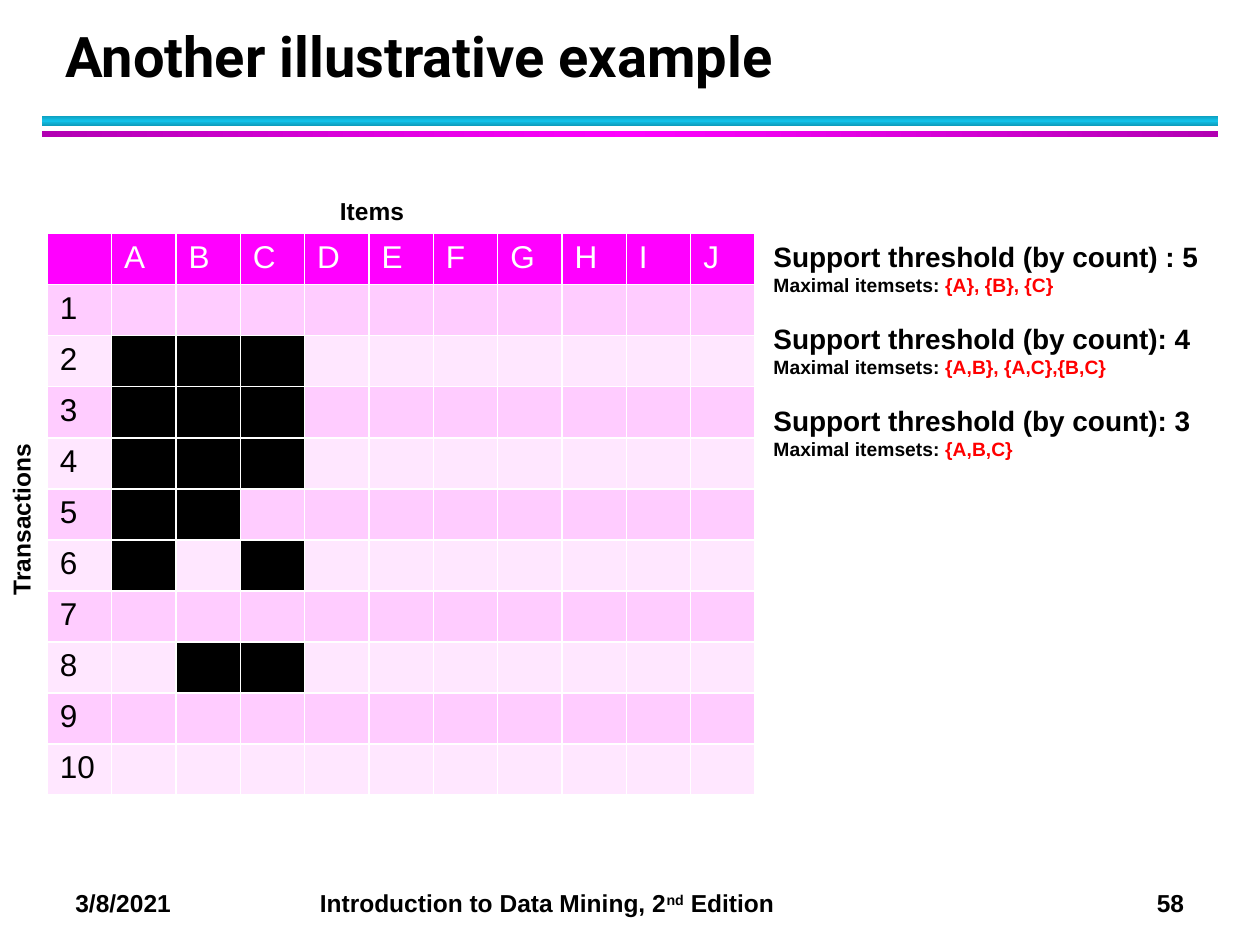
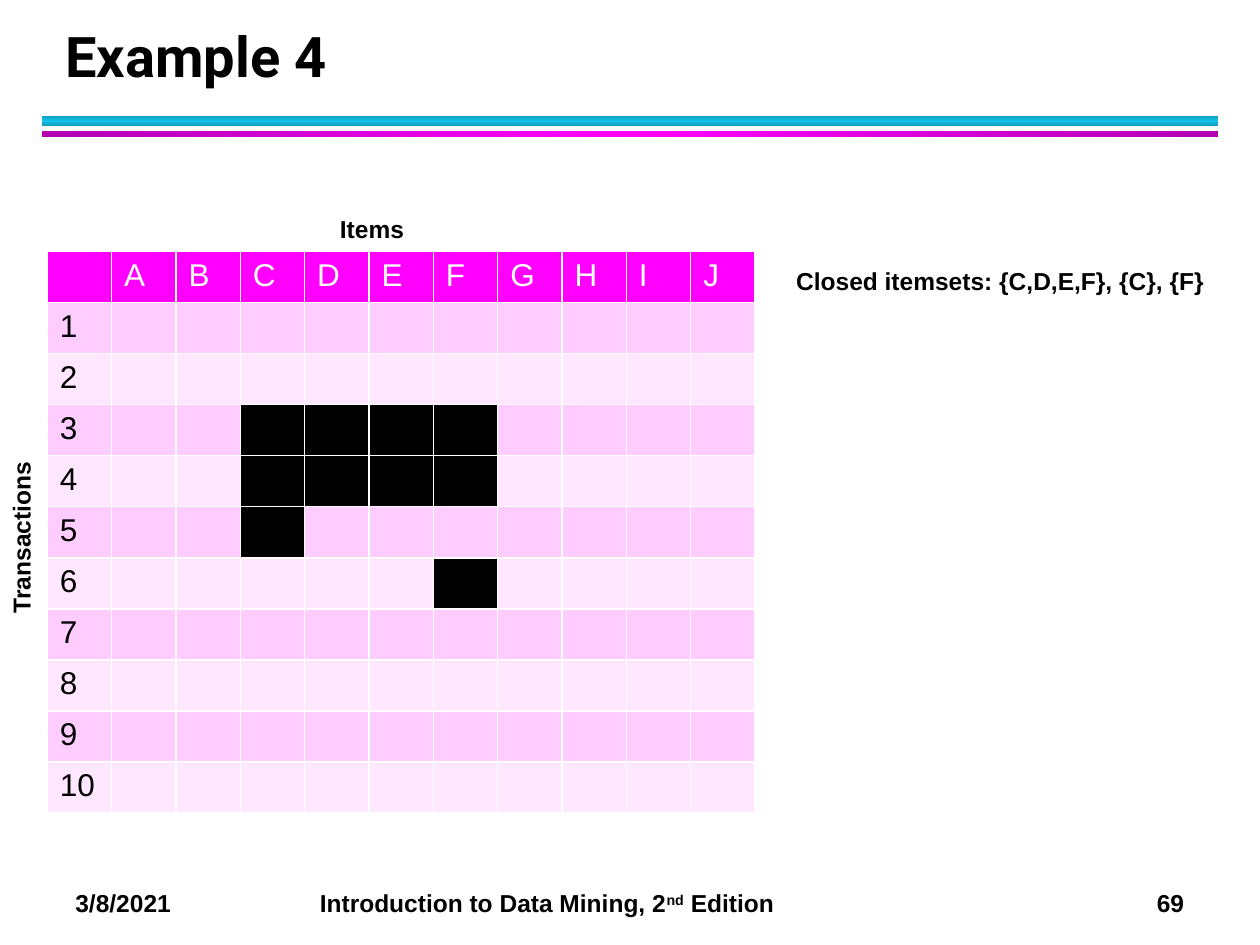
"""Build two itemset-mining example slides with shared bands, title, footer and transaction grid."""
from copy import deepcopy
from dataclasses import dataclass
from typing import NamedTuple

from lxml.etree import SubElement
from pptx import Presentation
from pptx.dml.color import RGBColor
from pptx.enum.shapes import MSO_SHAPE
from pptx.enum.text import MSO_ANCHOR, MSO_AUTO_SIZE
from pptx.oxml.ns import qn
from pptx.util import Inches, Pt

WIDTH, HEIGHT = Inches(10), Inches(7.5)
COLUMNS, ROWS = 100, 75
BLACK, WHITE, RED = "000000", "FFFFFF", "FF0000"
HEADER, ODD, EVEN = "FF00FF", "FFCCFF", "FFE7FF"
BODY_FONT, TITLE_FONT = "Arial", "Roboto"
ITEMS = "ABCDEFGHIJ"
TRANSACTIONS = 10


class Box(NamedTuple):
    """Left, top, width and height in grid columns and rows."""
    left: float
    top: float
    width: float
    height: float


class Band(NamedTuple):
    box: Box
    edge: str
    middle: str
    angle: int


class Piece(NamedTuple):
    text: str
    color: str = BLACK
    baseline: int = 0


class Line(NamedTuple):
    pieces: list[Piece]
    size: float = 14
    before: float = 0
    font: str = BODY_FONT


@dataclass
class Example:
    title: str
    number: int
    grid_top: float
    bought: dict[int, str]
    itemsets_box: Box
    itemsets: list[Line]


BANDS = [
    Band(Box(3.33, 9.17, 93.33, 0.83), "0E9BBA", "12C2E9", 90),
    Band(Box(3.33, 10.42, 93.33, 0.42), "B200B2", "FF00FF", 0),
]


def threshold(heading: str, itemsets: str, before: float = 14.5) -> list[Line]:
    return [
        Line([Piece(heading)], 16, before),
        Line([Piece("Maximal itemsets: "), Piece(itemsets, RED)], 11),
    ]


EXAMPLES = [
    Example(
        "Another illustrative example", 58, 18.54,
        {2: "ABC", 3: "ABC", 4: "ABC", 5: "AB", 6: "AC", 8: "BC"},
        Box(60.4, 18.5, 36.2, 18.5),
        threshold("Support threshold (by count) : 5", "{A}, {B}, {C}", 0)
        + threshold("Support threshold (by count): 4", "{A,B}, {A,C},{B,C}")
        + threshold("Support threshold (by count): 3", "{A,B,C}"),
    ),
    Example(
        "Example 4", 69, 19.96,
        {3: "CDEF", 4: "CDEF", 5: "C", 6: "F"},
        Box(62.2, 20.6, 36.2, 4),
        [Line([Piece("Closed itemsets: {C,D,E,F}, {C}, {F}")])],
    ),
]


def rgb(color: str) -> RGBColor:
    return RGBColor.from_string(color)


def place(box: Box) -> tuple[int, int, int, int]:
    return (
        round(box.left * WIDTH / COLUMNS), round(box.top * HEIGHT / ROWS),
        round(box.width * WIDTH / COLUMNS), round(box.height * HEIGHT / ROWS),
    )


def add_text(s, box: Box, lines: list[Line], wrap: bool = False):
    sp = s.shapes.add_textbox(*place(box))
    tf = sp.text_frame
    tf.word_wrap = wrap
    tf.auto_size = MSO_AUTO_SIZE.SHAPE_TO_FIT_TEXT
    for i, line in enumerate(lines):
        p = tf.add_paragraph() if i else tf.paragraphs[0]
        if line.before:
            p.space_before = Pt(line.before)
        for piece in line.pieces:
            r = p.add_run()
            r.text = piece.text
            r.font.color.rgb = rgb(piece.color)
            if piece.baseline:
                r._r.get_or_add_rPr().set("baseline", str(piece.baseline * 1000))
        p.font.name, p.font.size, p.font.bold = line.font, Pt(line.size), True
    return sp


def add_band(s, band: Band) -> None:
    sp = s.shapes.add_shape(MSO_SHAPE.RECTANGLE, *place(band.box))
    sp.shadow.inherit = False
    sp.line.fill.background()
    sp.fill.gradient()
    sp.fill.gradient_angle = band.angle
    stops = sp._element.find(".//" + qn("a:gsLst"))
    stops.append(deepcopy(stops[0]))
    colors = (band.edge, band.middle, band.edge)
    for i, (stop, color) in enumerate(zip(sp.fill.gradient_stops, colors)):
        stop.position = i / 2
        stop.color.rgb = rgb(color)


def add_title(s, title: str) -> None:
    sp = add_text(s, Box(4.2, 1.7, 90.6, 5.8), [Line([Piece(title)], 32, font=TITLE_FONT)], wrap=True)
    tf = sp.text_frame
    tf.auto_size = MSO_AUTO_SIZE.NONE
    tf.vertical_anchor = MSO_ANCHOR.BOTTOM
    tf.paragraphs[0].line_spacing = Pt(36)


def add_footer(s, number: int) -> None:
    pieces = [
        Piece("3/8/2021\tIntroduction to Data Mining, 2"),
        Piece("nd", baseline=30),
        Piece(f" Edition\t{number}"),
    ]
    sp = add_text(s, Box(5, 70, 93.3, 3.4), [Line(pieces)], wrap=True)
    pPr = sp.text_frame.paragraphs[0]._p.get_or_add_pPr()
    tabs = pPr.makeelement(qn("a:tabLst"))
    pPr.insert(0, tabs)
    for position, align in ((1.94, "l"), (8.8, "r")):
        SubElement(tabs, qn("a:tab"), pos=str(Inches(position)), algn=align)


def style_cell(cell, text: str, fill: str, color: str) -> None:
    tcPr = cell._tc.get_or_add_tcPr()
    for side in ("a:lnL", "a:lnR", "a:lnT", "a:lnB"):
        ln = SubElement(tcPr, qn(side), w=str(Pt(1)))
        SubElement(SubElement(ln, qn("a:solidFill")), qn("a:srgbClr"), val=WHITE)
    cell.fill.solid()
    cell.fill.fore_color.rgb = rgb(fill)
    cell.text = text
    font = cell.text_frame.paragraphs[0].font
    font.name, font.size, font.bold = BODY_FONT, Pt(18), False
    font.color.rgb = rgb(color)


def add_grid(s, top: float, bought: dict[int, str]) -> None:
    box = Box(3.75, top, 56.2, 44.6)
    tbl = s.shapes.add_table(TRANSACTIONS + 1, len(ITEMS) + 1, *place(box)).table
    tbl.horz_banding = False
    for i, item in enumerate(ITEMS, 1):
        style_cell(tbl.cell(0, i), item, HEADER, WHITE)
    style_cell(tbl.cell(0, 0), "", HEADER, WHITE)
    for row in range(1, TRANSACTIONS + 1):
        fill = ODD if row % 2 else EVEN
        style_cell(tbl.cell(row, 0), str(row), fill, BLACK)
        for i, item in enumerate(ITEMS, 1):
            marked = item in bought.get(row, "")
            style_cell(tbl.cell(row, i), "", BLACK if marked else fill, BLACK)
    add_text(s, Box(26, top - 3.5, 7.7, 4), [Line([Piece("Items")])])
    axis = add_text(s, Box(-5.4, top + 20.3, 14.8, 4), [Line([Piece("Transactions")])])
    axis.rotation = 270


def add_example(prs, example: Example) -> None:
    s = prs.slides.add_slide(prs.slide_layouts[6])
    for band in BANDS:
        add_band(s, band)
    add_footer(s, example.number)
    add_title(s, example.title)
    add_grid(s, example.grid_top, example.bought)
    add_text(s, example.itemsets_box, example.itemsets)


def main() -> None:
    prs = Presentation()
    prs.slide_width, prs.slide_height = WIDTH, HEIGHT
    for example in EXAMPLES:
        add_example(prs, example)
    prs.save("out.pptx")


if __name__ == "__main__":
    main()
